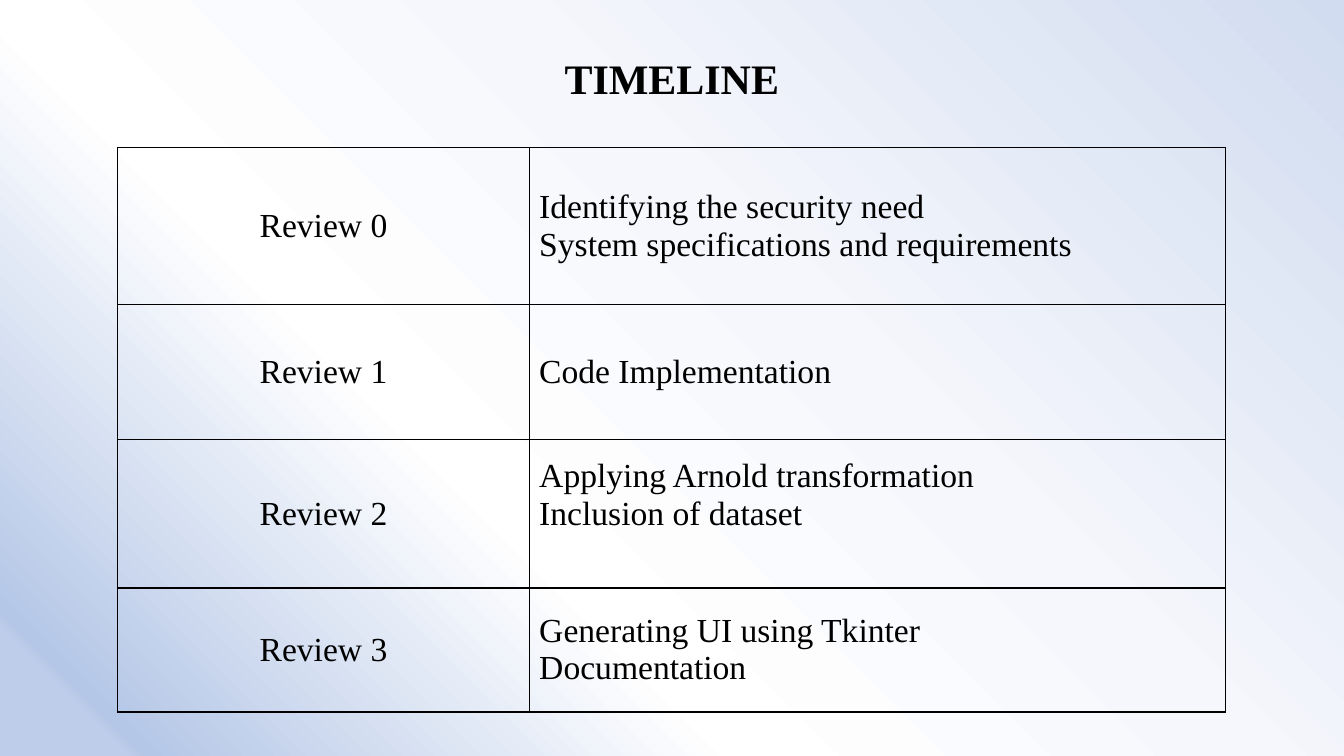
from lxml import etree
from pptx import Presentation
from pptx.dml.color import RGBColor
from pptx.enum.text import MSO_ANCHOR, PP_ALIGN
from pptx.oxml import parse_xml
from pptx.oxml.ns import nsdecls, qn
from pptx.util import Pt

MIDDLE = MSO_ANCHOR.MIDDLE
CENTER = PP_ALIGN.CENTER
LEFT = PP_ALIGN.LEFT

BLACK = RGBColor(0x00, 0x00, 0x00)
PERIWINKLE = RGBColor(0xBE, 0xCE, 0xEA)
BLUE = RGBColor(0xB5, 0xC7, 0xE7)
WHITE = RGBColor(0xFF, 0xFF, 0xFF)
MIST = RGBColor(0xF5, 0xF7, 0xFC)
PALE_BLUE = RGBColor(0xD1, 0xDC, 0xF0)

FONT = "Times New Roman"
GRADIENT = [(0, PERIWINKLE), (6, PERIWINKLE), (7, BLUE), (35, WHITE), (60, MIST), (100, PALE_BLUE)]
COLUMN_WIDTHS = [293.8, 497.5]
REVIEWS = [
    ("Review 0", ["Identifying the security need", "System specifications and requirements"], 112.3, 3.6),
    ("Review 1", ["Code Implementation"], 96.5, 3.6),
    ("Review 2", ["Applying Arnold transformation", "Inclusion of dataset"], 105.8, 30.4),
    ("Review 3", ["Generating UI using Tkinter", "Documentation"], 88.6, 3.6),
]


def set_background(slide):
    stops = "".join(
        f'<a:gs pos="{percent * 1000}"><a:srgbClr val="{color}"/></a:gs>'
        for percent, color in GRADIENT
    )
    background = parse_xml(
        f'<p:bg {nsdecls("p", "a")}><p:bgPr><a:gradFill><a:gsLst>{stops}</a:gsLst>'
        '<a:path path="circle"><a:fillToRect t="100000" r="100000"/></a:path>'
        "</a:gradFill><a:effectLst/></p:bgPr></p:bg>"
    )
    slide.element.cSld.insert(0, background)


def format_paragraph(paragraph, size, alignment, bold=False):
    paragraph.alignment = alignment
    paragraph.font.name = FONT
    paragraph.font.size = Pt(size)
    paragraph.font.bold = bold
    paragraph.font.color.rgb = BLACK


def add_title(slide, wording):
    title = slide.shapes.title
    title.left, title.top, title.width, title.height = Pt(66), Pt(23.8), Pt(828), Pt(68.4)
    title.text_frame.text = wording
    title.text_frame.vertical_anchor = MIDDLE
    heading = title.text_frame.paragraphs[0]
    heading.line_spacing = 0.9
    format_paragraph(heading, 30, CENTER, bold=True)


def add_borders(cell):
    properties = cell._tc.get_or_add_tcPr()
    for position, side in enumerate(("lnL", "lnR", "lnT", "lnB")):
        border = etree.Element(qn(f"a:{side}"), w=str(Pt(1)))
        fill = etree.SubElement(border, qn("a:solidFill"))
        etree.SubElement(fill, qn("a:srgbClr"), val=str(BLACK))
        properties.insert(position, border)


def fill_cell(cell, lines, alignment, bottom_margin=3.6):
    cell.text = "\n".join(lines)
    cell.vertical_anchor = MIDDLE
    cell.margin_bottom = Pt(bottom_margin)
    cell.fill.background()
    add_borders(cell)
    for paragraph in cell.text_frame.paragraphs:
        format_paragraph(paragraph, 24, alignment)


def add_timeline(slide):
    width = sum(COLUMN_WIDTHS)
    height = sum(review[2] for review in REVIEWS)
    timeline = slide.shapes.add_table(
        len(REVIEWS), len(COLUMN_WIDTHS), Pt(84.2), Pt(105.4), Pt(width), Pt(height)
    ).table
    timeline.first_row = False
    timeline.horz_banding = False
    for column, column_width in zip(timeline.columns, COLUMN_WIDTHS):
        column.width = Pt(column_width)
    for index, (review, tasks, row_height, bottom_margin) in enumerate(REVIEWS):
        timeline.rows[index].height = Pt(row_height)
        fill_cell(timeline.cell(index, 0), [review], CENTER)
        fill_cell(timeline.cell(index, 1), tasks, LEFT, bottom_margin)


def main():
    presentation = Presentation()
    presentation.slide_width = Pt(960)
    presentation.slide_height = Pt(540)
    slide = presentation.slides.add_slide(presentation.slide_layouts[5])
    set_background(slide)
    add_title(slide, "TIMELINE")
    add_timeline(slide)
    presentation.save("out.pptx")


if __name__ == "__main__":
    main()
